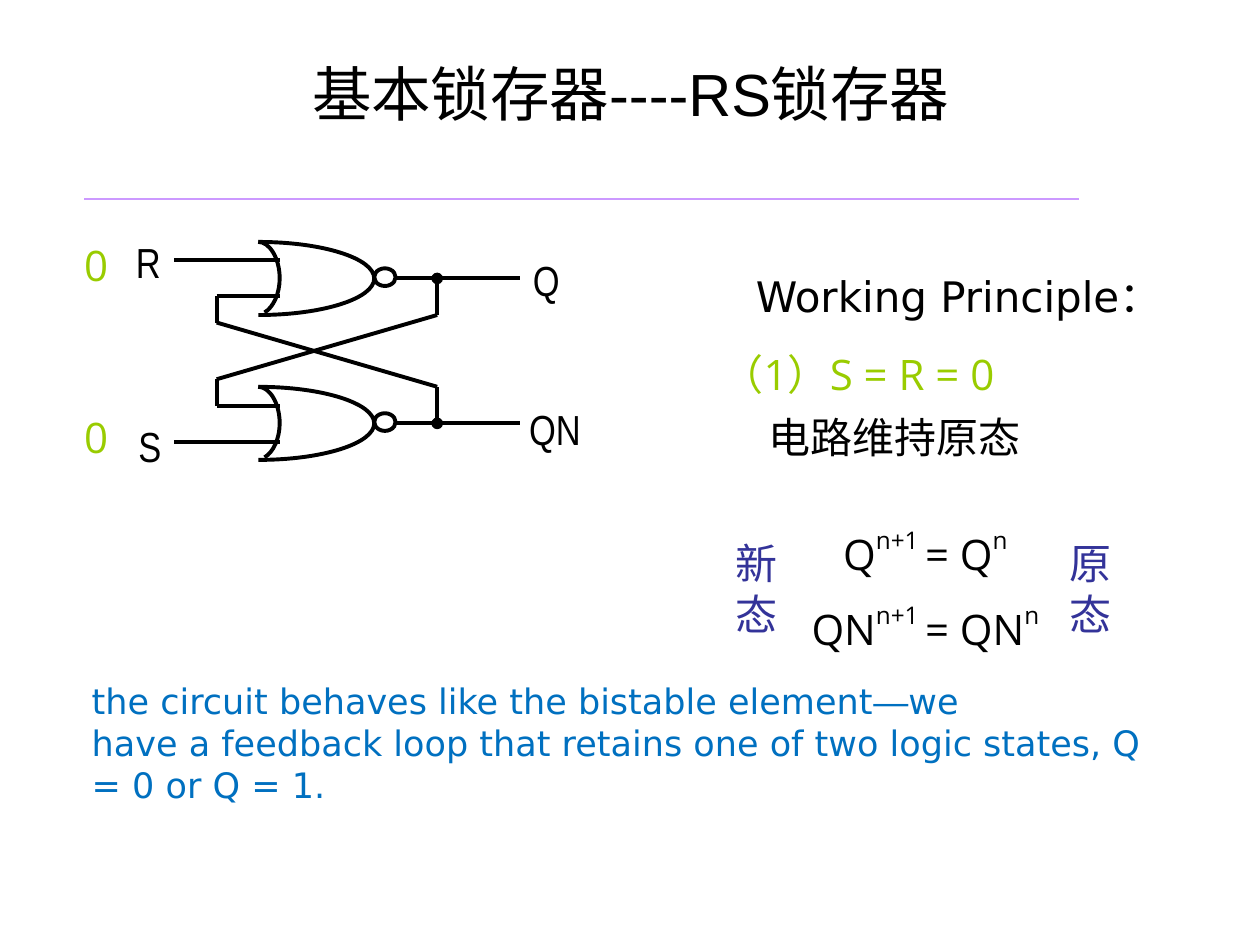
from dataclasses import dataclass

from lxml.etree import SubElement
from pptx import Presentation
from pptx.dml.color import RGBColor
from pptx.enum.shapes import MSO_CONNECTOR as Connector, MSO_SHAPE as Shape
from pptx.enum.text import MSO_ANCHOR as Anchor, MSO_AUTO_SIZE as AutoSize, PP_ALIGN as Align
from pptx.oxml.ns import qn
from pptx.util import Inches, Pt

COLORS = {
    "ink": "000000",
    "rule": "CC99FF",
    "value": "99CC00",
    "state": "333399",
    "remark": "0070C0",
}
NARROW, OPEN, DEJAVU, ARIAL = "Arial Narrow", "Open Sans", "DejaVu Sans", "Arial"
WIRE_WIDTH = 2.25
GATE_LEFT, GATE_TIP, HALF_GATE = 2.05, 2.97, 0.29
GATE_BACK, SOURCE_GAP, FEEDBACK_GAP = 2.22, 0.15, 0.14
SOURCE_X, LOOP_X, NODE_X, OUTPUT_X = 1.38, 1.72, 3.47, 4.13
BUBBLE_W, BUBBLE_H = 0.17, 0.14


@dataclass(frozen=True)
class Run:
    text: str
    font: str | None = None
    raised: bool = False


@dataclass(frozen=True)
class Gate:
    middle: float
    inward: int


@dataclass(frozen=True)
class Label:
    box: tuple[float, float, float, float]
    text: str
    font: str = NARROW
    color: str = "ink"
    wrap: bool = False


GATES = [Gate(2.21, 1), Gate(3.36, -1)]
LABELS = [
    Label((4.13, 1.97, 0.41, 0.5), "Q"),
    Label((4.1, 3.15, 0.61, 0.5), "QN"),
    Label((0.98, 1.83, 0.4, 0.5), "R"),
    Label((1, 3.29, 0.38, 0.5), "S"),
    Label((5.63, 2.72, 3.66, 0.5), "（1）S = R = 0", OPEN, "value", True),
    Label((6, 3.22, 3.38, 0.5), "电路维持原态", OPEN, wrap=True),
    Label((0.57, 1.85, 0.41, 0.5), "0", OPEN, "value", True),
    Label((0.57, 3.22, 0.41, 0.5), "0", OPEN, "value", True),
    Label((5.74, 4.22, 0.54, 0.9), "新\n态", NARROW, "state"),
    Label((8.39, 4.22, 0.99, 0.9), "原\n态", NARROW, "state", True),
]

prs = Presentation()
prs.slide_width, prs.slide_height = Inches(10), Inches(7.5)
slide = prs.slides.add_slide(prs.slide_layouts[6])
shapes = slide.shapes


def add_text(box: tuple, paragraphs: list[list[Run]], *, font: str = OPEN,
             size: float = 24, color: str = "ink", wrap: bool = True,
             align: Align = Align.LEFT, anchor: Anchor = Anchor.TOP,
             spacing: float = 1.0, grow: bool = True) -> None:
    frame = shapes.add_textbox(*map(Inches, box)).text_frame
    frame.word_wrap = wrap
    frame.auto_size = AutoSize.SHAPE_TO_FIT_TEXT if grow else AutoSize.NONE
    frame.vertical_anchor = anchor
    for index, runs in enumerate(paragraphs):
        paragraph = frame.add_paragraph() if index else frame.paragraphs[0]
        paragraph.alignment = align
        paragraph.line_spacing = spacing
        for part in runs:
            run = paragraph.add_run()
            run.text = part.text
            run.font.name = part.font or font
            run.font.size = Pt(size)
            run.font.color.rgb = RGBColor.from_string(COLORS[color])
            if part.raised:
                run._r.get_or_add_rPr().set("baseline", "50000")


def style_line(item, color: str = "ink", width: float = WIRE_WIDTH) -> None:
    item.line.color.rgb = RGBColor.from_string(COLORS[color])
    item.line.width = Pt(width)


def add_line(start: tuple, end: tuple, color: str = "ink",
             width: float = WIRE_WIDTH, node: bool = False) -> None:
    line = shapes.add_connector(Connector.STRAIGHT, *map(Inches, (*start, *end)))
    style_line(line, color, width)
    if node:
        SubElement(line.line._get_or_add_ln(), qn("a:headEnd"), type="oval")
    SubElement(line._element.spPr, qn("a:effectLst"))


def add_curve(*controls: tuple[float, float]) -> None:
    start, *rest = [(Inches(x), Inches(y)) for x, y in controls]
    builder = shapes.build_freeform(*start)
    builder.add_line_segments(rest, close=False)
    curve = builder.convert_to_shape()
    track = next(curve._element.iter(qn("a:moveTo"))).getparent()
    segments = track.findall(qn("a:lnTo"))
    for first in range(0, len(segments), 3):
        bend = SubElement(track, qn("a:cubicBezTo"))
        for segment in segments[first:first + 3]:
            bend.append(segment[0])
            track.remove(segment)
    curve.fill.background()
    curve.shadow.inherit = False
    style_line(curve)


def add_gate(gate: Gate) -> None:
    y = gate.middle
    top, bottom = y - HALF_GATE, y + HALF_GATE
    for edge, bend in ((top, y - 0.16), (bottom, y + 0.16)):
        add_curve((GATE_LEFT, edge), (2.56, edge), (GATE_TIP, bend), (GATE_TIP, y))
    add_curve((GATE_LEFT, top), (2.14, top), (GATE_BACK, y - 0.16), (GATE_BACK, y),
              (GATE_BACK, y + 0.12), (2.17, y + 0.23), (2.1, y + 0.27))
    bubble = shapes.add_shape(Shape.OVAL, *map(
        Inches, (GATE_TIP, y - BUBBLE_H / 2 - 0.01, BUBBLE_W, BUBBLE_H)))
    bubble.fill.background()
    bubble.shadow.inherit = False
    style_line(bubble)


def add_wires(gate: Gate, other: Gate) -> None:
    y = gate.middle
    source_y = y - gate.inward * SOURCE_GAP
    node_end = (NODE_X, y + gate.inward * HALF_GATE)
    feedback_y = other.middle + other.inward * FEEDBACK_GAP
    loop_start = (LOOP_X, feedback_y + other.inward * 0.21)
    loop_end = (LOOP_X, feedback_y)
    add_line((GATE_BACK, source_y), (SOURCE_X, source_y))
    add_line((GATE_TIP + BUBBLE_W, y), (OUTPUT_X, y))
    add_line((NODE_X, y), node_end, node=True)
    add_line(node_end, loop_start)
    add_line(loop_start, loop_end)
    add_line(loop_end, (GATE_BACK, feedback_y))


def equation(name: str) -> list[Run]:
    return [Run(name), Run("n+1 ", raised=True), Run("= " + name), Run("n", raised=True)]


add_line((0.67, 1.58), (8.56, 1.58), "rule", 1)
add_text((0.63, 0.33, 8.75, 0.74), [[Run("基本锁存器----RS锁存器")]], font=ARIAL,
         size=34, align=Align.CENTER, anchor=Anchor.BOTTOM, grow=False)
for gate, other in zip(GATES, reversed(GATES)):
    add_gate(gate)
    add_wires(gate, other)
for label in LABELS:
    add_text(label.box, [[Run(line)] for line in label.text.split("\n")],
             font=label.font, color=label.color, wrap=label.wrap)
add_text((5.9, 2.1, 4, 0.5), [[Run("Working Principle"), Run("：", NARROW)]], font=DEJAVU)
add_text((6.21, 3.95, 2.27, 1.22), [equation("Q"), equation("QN")],
         wrap=False, align=Align.CENTER, spacing=1.4)
add_text((0.63, 5.34, 8.77, 1.11), [
    [Run("the circuit behaves like the bistable element"), Run("—", ARIAL), Run("we")],
    [Run("have a feedback loop that retains one of two logic states, Q = 0 or Q = 1.")],
], font=DEJAVU, size=20, color="remark")

prs.save("out.pptx")
